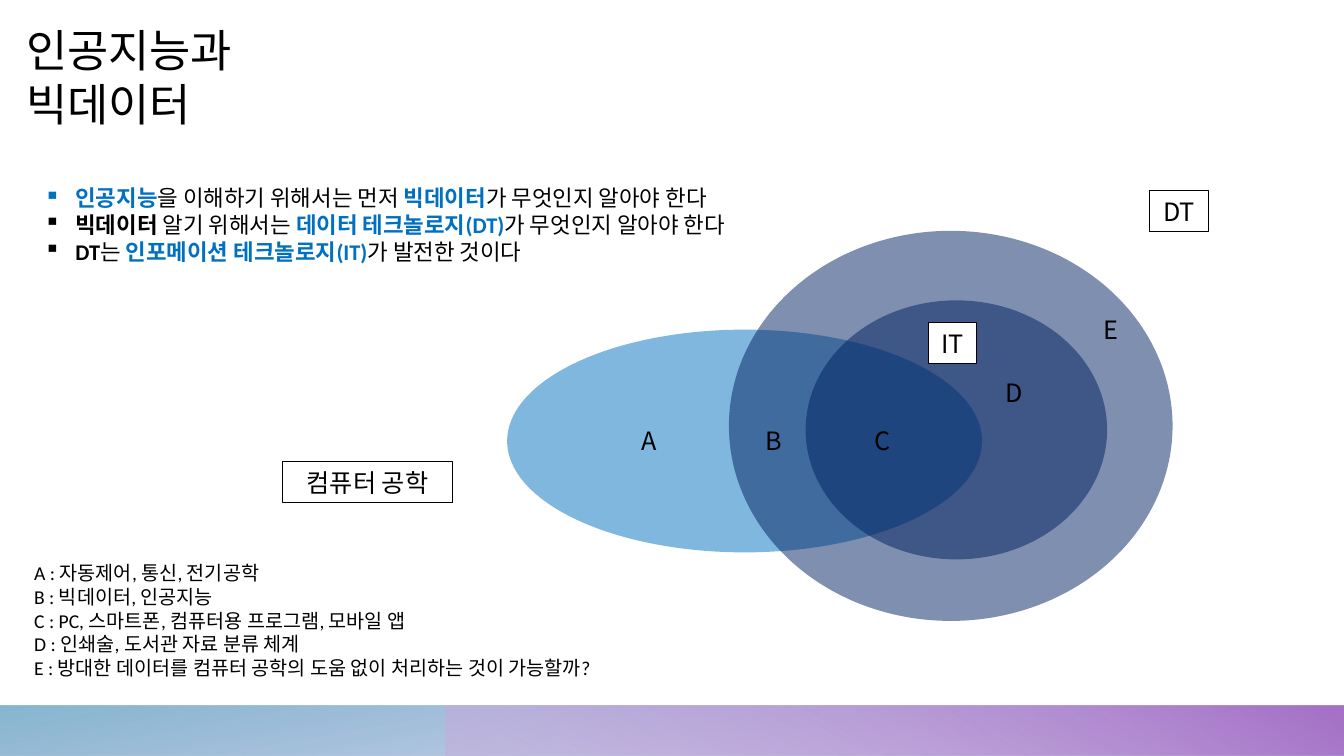
import pptx
import pptx.util
import pptx.dml.color
import pptx.enum.shapes
import pptx.enum.text
import pptx.oxml
import pptx.oxml.ns

Inches, Pt = pptx.util.Inches, pptx.util.Pt
RGBColor = pptx.dml.color.RGBColor
SHAPE = pptx.enum.shapes.MSO_SHAPE
ALIGN = pptx.enum.text.PP_ALIGN
ANCHOR = pptx.enum.text.MSO_ANCHOR
qn = pptx.oxml.ns.qn

BLACK = RGBColor(0x00, 0x00, 0x00)
WHITE = RGBColor(0xFF, 0xFF, 0xFF)
BLUE = RGBColor(0x00, 0x70, 0xC0)
NAVY = RGBColor(0x00, 0x20, 0x60)
SLATE = RGBColor(0x71, 0x86, 0xC7)
TEAL = RGBColor(0x71, 0xAA, 0xC7)
LAVENDER = RGBColor(0xC8, 0xAA, 0xDD)
PURPLE = RGBColor(0xA4, 0x71, 0xC7)

HEADING_FONT = "Noto Sans CJK KR"
BODY_FONT = "Calibri"

# Each bullet is a list of (text, colour, bold) runs.
BULLETS = [
    [("인공지능", BLUE, True), ("을 이해하기 위해서는 먼저 ", BLACK, False),
     ("빅데이터", BLUE, True), ("가 무엇인지 알아야 한다", BLACK, False)],
    [("빅데이터", BLACK, True), (" 알기 위해서는 ", BLACK, False),
     ("데이터 테크놀로지(DT)", BLUE, True), ("가 무엇인지 알아야 한다", BLACK, False)],
    [("DT", BLACK, True), ("는 ", BLACK, False),
     ("인포메이션 테크놀로지(IT)", BLUE, True), ("가 발전한 것이다", BLACK, False)],
]
LEGEND = [
    "A : 자동제어, 통신, 전기공학",
    "B : 빅데이터, 인공지능",
    "C : PC, 스마트폰, 컴퓨터용 프로그램, 모바일 앱",
    "D : 인쇄술, 도서관 자료 분류 체계",
    "E : 방대한 데이터를 컴퓨터 공학의 도움 없이 처리하는 것이 가능할까?",
]

# Positions below are inches from the corner of the diagram.
ELLIPSES = [
    (2.23, 1.38, 4.71, 2.21, BLUE),
    (4.43, 0.4, 4.4, 3.87, NAVY),
    (5.19, 1.09, 2.99, 2.57, NAVY),
]
REGION_LETTERS = [("A", 3.46, 2.28), ("B", 4.69, 2.28), ("C", 5.78, 2.28),
                  ("D", 7.07, 1.8), ("E", 8.05, 1.18)]
NAME_TAGS = [("IT", 6.41, 1.31, 0.48), ("DT", 8.6, 0, 0.59),
             ("컴퓨터 공학", 0, 2.69, 1.69)]
LABEL_HEIGHT = 0.41


def set_font(paragraph, name, size, color=BLACK):
    paragraph.font.name = name
    paragraph.font.size = Pt(size)
    paragraph.font.color.rgb = color


def set_alpha(color_parent, percent):
    """Make the colour held in an XML fill or gradient stop translucent."""
    color = color_parent.find(qn("a:srgbClr"))
    alpha = pptx.oxml.parse_xml(
        f'<a:alpha {pptx.oxml.ns.nsdecls("a")} val="{percent * 1000}"/>')
    color.append(alpha)


def add_plain_shape(slide, kind, left, top, width, height):
    shape = slide.shapes.add_shape(
        kind, Inches(left), Inches(top), Inches(width), Inches(height))
    shape.shadow.inherit = False
    shape.line.fill.background()
    return shape


def add_text_box(slide, left, top, width, height, wrap=True):
    box = slide.shapes.add_textbox(
        Inches(left), Inches(top), Inches(width), Inches(height))
    box.text_frame.word_wrap = wrap
    return box.text_frame


def add_footer_band(slide, left, top, width, height, stops, angle, rotation=0):
    """Stops are (position, colour, opacity in percent); angle is clockwise."""
    band = add_plain_shape(slide, SHAPE.RECTANGLE, left, top, width, height)
    band.rotation = rotation
    band._element.spPr.find(qn("a:xfrm")).set("flipH", "1")
    band.fill.gradient()
    band.fill.gradient_angle = 360 - angle
    elements = band._element.spPr.iter(qn("a:gs"))
    for stop, element, (position, color, opacity) in zip(
            band.fill.gradient_stops, elements, stops):
        stop.position = position
        stop.color.rgb = color
        if opacity < 100:
            set_alpha(element, opacity)


def add_footer(slide, left, top, width, height):
    add_footer_band(slide, left, top, width, height,
                    [(0.14, SLATE, 28), (1, TEAL, 85)], 100, rotation=180)
    purple_left = 4.42
    add_footer_band(slide, left + purple_left, top, width - purple_left, height,
                    [(0.09, LAVENDER, 55), (0.99, PURPLE, 100)], 240)


def add_title(slide, left, top, width, height):
    paragraph = add_text_box(slide, left, top, width, height).paragraphs[0]
    paragraph.text = "인공지능과\v빅데이터"
    set_font(paragraph, HEADING_FONT, 32)


def add_bullets(slide, left, top, width, height):
    frame = add_text_box(slide, left, top, width, height)
    for index, runs in enumerate(BULLETS):
        paragraph = frame.add_paragraph() if index else frame.paragraphs[0]
        set_font(paragraph, BODY_FONT, 16)
        properties = paragraph._p.get_or_add_pPr()
        properties.set("marL", str(Inches(0.31)))
        properties.set("indent", str(-Inches(0.31)))
        properties.insert(0, pptx.oxml.parse_xml(
            f'<a:buChar {pptx.oxml.ns.nsdecls("a")} char="▪"/>'))
        for text, color, bold in runs:
            run = paragraph.add_run()
            run.text = text
            run.font.color.rgb = color
            run.font.bold = bold


def add_legend(slide, left, top, width, height):
    frame = add_text_box(slide, left, top, width, height, wrap=False)
    paragraph = frame.paragraphs[0]
    paragraph.text = "\v".join(LEGEND)
    set_font(paragraph, BODY_FONT, 14)


def add_venn_diagram(slide, left, top):
    for x, y, width, height, color in ELLIPSES:
        ellipse = add_plain_shape(slide, SHAPE.OVAL, left + x, top + y, width, height)
        ellipse.fill.solid()
        ellipse.fill.fore_color.rgb = color
        set_alpha(ellipse._element.spPr.find(qn("a:solidFill")), 50)

    for letter, x, y in REGION_LETTERS:
        frame = add_text_box(slide, left + x, top + y, 0.4, LABEL_HEIGHT)
        frame.text = letter
        set_font(frame.paragraphs[0], HEADING_FONT, 18)

    for name, x, y, width in NAME_TAGS:
        tag = add_plain_shape(slide, SHAPE.RECTANGLE, left + x, top + y,
                              width, LABEL_HEIGHT)
        tag.fill.solid()
        tag.fill.fore_color.rgb = WHITE
        tag.line.color.rgb = BLACK
        tag.line.width = Pt(0.75)
        frame = tag.text_frame
        frame.text = name
        frame.word_wrap = True
        frame.vertical_anchor = ANCHOR.MIDDLE
        frame.paragraphs[0].alignment = ALIGN.CENTER
        set_font(frame.paragraphs[0], HEADING_FONT, 18)


def main():
    presentation = pptx.Presentation()
    presentation.slide_width = Inches(13.33)
    presentation.slide_height = Inches(7.5)
    slide = presentation.slides.add_slide(presentation.slide_layouts[6])
    add_footer(slide, 0, 7, 13.33, 0.5)
    add_title(slide, 0.16, 0.18, 3.71, 0.64)
    add_bullets(slide, 0.34, 1.78, 7.9, 1.18)
    add_legend(slide, 0.24, 5.52, 6.31, 1.29)
    add_venn_diagram(slide, 2.8, 1.89)
    presentation.save("out.pptx")


if __name__ == "__main__":
    main()
